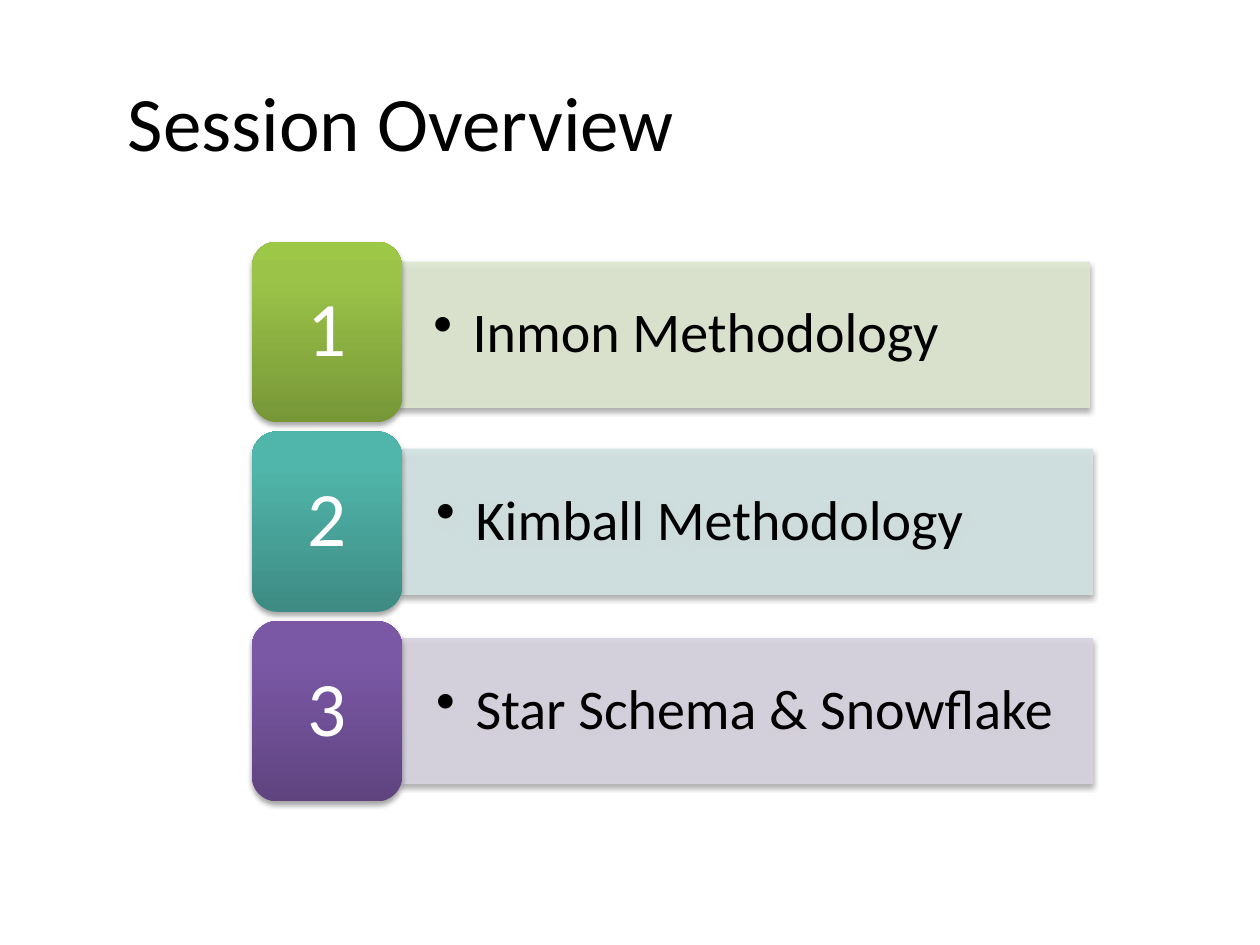
from copy import deepcopy
from dataclasses import dataclass

from lxml.etree import SubElement
from pptx import Presentation
from pptx.dml.color import RGBColor
from pptx.enum.shapes import MSO_SHAPE
from pptx.enum.text import MSO_ANCHOR, PP_ALIGN
from pptx.oxml.ns import qn
from pptx.shapes.autoshape import Shape
from pptx.slide import Slide
from pptx.text.text import TextFrame
from pptx.util import Pt

COLORS = {
    "text": "000000", "number": "FFFFFF", "shadow": "000000",
    "green bar": "DEE7D1", "teal bar": "D2E3E2", "purple bar": "D8D3E0",
    "green 0": "779737", "green 80": "9BC348", "green 100": "9DC746",
    "teal 0": "3D8B83", "teal 80": "50B5AA", "teal 100": "4EB8AC",
    "purple 0": "5F4480", "purple 80": "7B58A6", "purple 100": "7C57A8",
}
FONT = "Calibri"
TILE_LEFT, TILE_TOP, TILE_STEP = 144, 138.2, 108.4
TILE_WIDTH, TILE_HEIGHT = 85.7, 103
BAR_WIDTH, BAR_HEIGHT = 394.5, 82.8
HANGING_INDENT = 22.5


@dataclass
class Session:
    topic: str
    hue: str
    bar_left: float
    bar_top: float


SESSIONS = [
    Session("Inmon Methodology", "green", 228, 149.9),
    Session("Kimball Methodology", "teal", 229.7, 256.8),
    Session("Star Schema & Snowflake", "purple", 229.7, 365),
]


def rgb(name: str) -> RGBColor:
    return RGBColor.from_string(COLORS[name])


def write(frame: TextFrame, text: str, size: float, color: str,
          align: PP_ALIGN = PP_ALIGN.LEFT, inset: tuple[float, float] = (7.2, 3.6),
          line_spacing: float = 1.0) -> None:
    """Set one vertically centred paragraph; inset is (horizontal, vertical)."""
    frame.text = text
    frame.word_wrap = True
    frame.vertical_anchor = MSO_ANCHOR.MIDDLE
    frame.margin_left = frame.margin_right = Pt(inset[0])
    frame.margin_top = frame.margin_bottom = Pt(inset[1])
    paragraph = frame.paragraphs[0]
    paragraph.alignment = align
    paragraph.line_spacing = line_spacing
    font = paragraph.runs[0].font
    font.name, font.size = FONT, Pt(size)
    font.color.rgb = rgb(color)


def add_alpha(color_parent, percent: int) -> None:
    color = color_parent.find(".//" + qn("a:srgbClr"))
    SubElement(color, qn("a:alpha"), val=str(percent * 1000))


def add_shadow(shape: Shape) -> None:
    shape.shadow.inherit = False
    effects = shape._element.spPr.find(qn("a:effectLst"))
    shadow = SubElement(effects, qn("a:outerShdw"), blurRad=str(Pt(3.1)),
                        dist=str(Pt(1.8)), dir="5400000", rotWithShape="0")
    SubElement(shadow, qn("a:srgbClr"), val=COLORS["shadow"])
    add_alpha(shadow, 35)


def fill_gradient(shape: Shape, hue: str) -> None:
    """Fill upwards with the hue's stops at 0, 80 and 100 percent."""
    shape.fill.gradient()
    shape.fill.gradient_angle = 90
    stop_list = shape._element.spPr.find(".//" + qn("a:gsLst"))
    stop_list.append(deepcopy(stop_list[-1]))
    for stop, percent in zip(shape.fill.gradient_stops, (0, 80, 100)):
        stop.position = percent / 100
        stop.color.rgb = rgb(f"{hue} {percent}")


def add_bar(slide: Slide, session: Session) -> None:
    bar = slide.shapes.add_shape(
        MSO_SHAPE.RECTANGLE, Pt(session.bar_left), Pt(session.bar_top),
        Pt(BAR_WIDTH), Pt(BAR_HEIGHT))
    bar.fill.solid()
    bar.fill.fore_color.rgb = bar.line.color.rgb = rgb(f"{session.hue} bar")
    bar.line.width = Pt(0.75)
    properties = bar._element.spPr
    add_alpha(properties.find(qn("a:solidFill")), 90)
    add_alpha(properties.find(qn("a:ln")), 90)
    add_shadow(bar)
    write(bar.text_frame, session.topic, 32, "text",
          inset=(19.6, 9.8), line_spacing=0.9)
    paragraph = bar.text_frame.paragraphs[0]._p.get_or_add_pPr()
    paragraph.set("marL", str(Pt(HANGING_INDENT)))
    paragraph.set("indent", str(Pt(-HANGING_INDENT)))
    SubElement(paragraph, qn("a:buChar"), char="•")


def add_tile(slide: Slide, number: int, hue: str) -> None:
    tile = slide.shapes.add_shape(
        MSO_SHAPE.ROUNDED_RECTANGLE, Pt(TILE_LEFT),
        Pt(TILE_TOP + (number - 1) * TILE_STEP), Pt(TILE_WIDTH), Pt(TILE_HEIGHT))
    fill_gradient(tile, hue)
    tile.line.fill.background()
    add_shadow(tile)
    write(tile.text_frame, str(number), 44, "number", PP_ALIGN.CENTER,
          inset=(13, 6.5), line_spacing=0.9)


def main() -> None:
    presentation = Presentation()
    presentation.slide_width, presentation.slide_height = Pt(720), Pt(540)
    slide = presentation.slides.add_slide(presentation.slide_layouts[6])
    for number, session in enumerate(SESSIONS, start=1):
        add_bar(slide, session)
        add_tile(slide, number, session.hue)
    title = slide.shapes.add_textbox(Pt(66), Pt(24), Pt(636), Pt(90))
    write(title.text_frame, "Session Overview", 44, "text")
    presentation.save("out.pptx")


if __name__ == "__main__":
    main()
